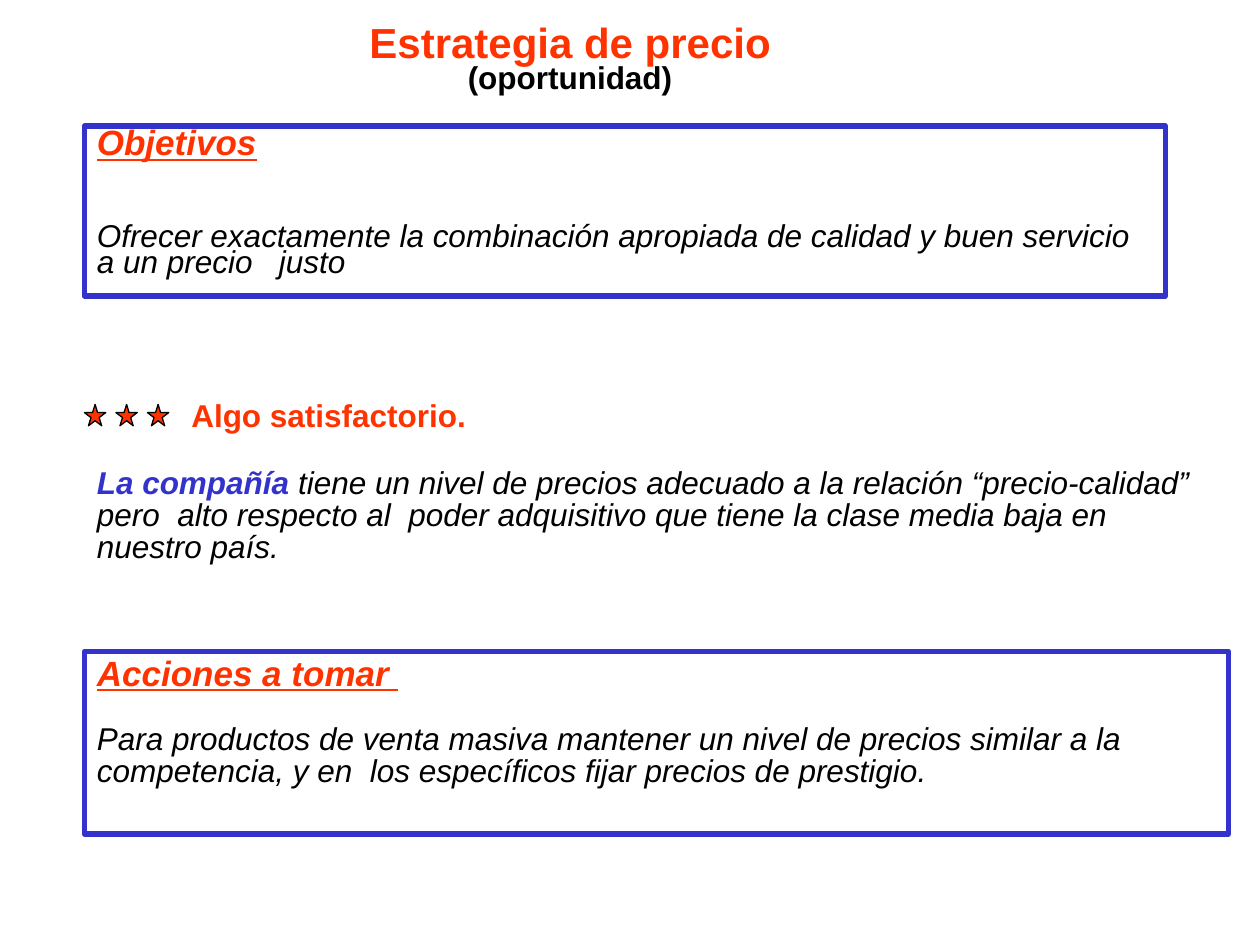
from pptx import Presentation
from pptx.dml.color import RGBColor
from pptx.enum.shapes import MSO_SHAPE
from pptx.enum.text import MSO_ANCHOR, MSO_AUTO_SIZE, PP_ALIGN
from pptx.util import Inches, Pt

RED = RGBColor(0xFF, 0x33, 0x00)
BLUE = RGBColor(0x33, 0x33, 0xCC)
BLACK = RGBColor(0, 0, 0)
FONT = "Arial"
RECTANGLE, STAR = MSO_SHAPE.RECTANGLE, MSO_SHAPE.STAR_5_POINT
TOP = MSO_ANCHOR.TOP
FIXED_SIZE = MSO_AUTO_SIZE.NONE
LEFT, CENTER = PP_ALIGN.LEFT, PP_ALIGN.CENTER

MARGIN = 0.67
STAR_SIZE, STAR_STEP = 0.17, 0.25


def add_run(paragraph, text, size=18, color=BLACK, bold=False, italic=False,
            underline=False):
    run = paragraph.add_run()
    run.text = text
    font = run.font
    font.name, font.size = FONT, Pt(size)
    font.bold, font.italic, font.underline = bold, italic, underline
    font.color.rgb = color


def format_paragraph(paragraph, spacing=1.0, before=0, align=LEFT):
    paragraph.line_spacing = spacing
    paragraph.space_before = Pt(before)
    paragraph.alignment = align


def prepare_frame(shape, wrap=True):
    frame = shape.text_frame
    frame.word_wrap = wrap
    frame.auto_size = FIXED_SIZE
    frame.vertical_anchor = TOP
    return frame


def add_outlined_shape(slide, kind, box, line_color, line_width, fill=None):
    shape = slide.shapes.add_shape(kind, *map(Inches, box))
    shape.shadow.inherit = False
    if fill is None:
        shape.fill.background()
    else:
        shape.fill.solid()
        shape.fill.fore_color.rgb = fill
    shape.line.color.rgb = line_color
    shape.line.width = Pt(line_width)
    return shape


def add_panel(slide, box, heading, body, spacing, gap, tail=""):
    """Blue frame with an underlined heading, then body text after a gap in points."""
    panel = add_outlined_shape(slide, RECTANGLE, box, BLUE, 3)
    frame = prepare_frame(panel)
    heading_line = frame.paragraphs[0]
    format_paragraph(heading_line, spacing)
    add_run(heading_line, heading, size=20, color=RED, bold=True, italic=True,
            underline=True)
    if tail:
        add_run(heading_line, tail, color=RED, italic=True, underline=True)
    body_line = frame.add_paragraph()
    format_paragraph(body_line, spacing, before=gap)
    add_run(body_line, body, italic=True)


def add_text(slide, box, runs, spacing, wrap=True):
    textbox = slide.shapes.add_textbox(*map(Inches, box))
    paragraph = prepare_frame(textbox, wrap).paragraphs[0]
    format_paragraph(paragraph, spacing)
    for text, style in runs:
        add_run(paragraph, text, **style)


def fill_title(slide):
    title = slide.shapes.title
    title.left, title.top = Inches(2.83), Inches(0.08)
    title.width, title.height = Inches(3.39), Inches(0.73)
    frame = prepare_frame(title, wrap=False)
    heading = frame.paragraphs[0]
    format_paragraph(heading, align=CENTER)
    add_run(heading, "Estrategia de precio", size=24, color=RED, bold=True)
    subtitle = frame.add_paragraph()
    format_paragraph(subtitle, 0.75, align=CENTER)
    add_run(subtitle, "(oportunidad)", bold=True)


def add_rating(slide, stars, label):
    for index in range(stars):
        box = (MARGIN + index * STAR_STEP, 3.21, STAR_SIZE, STAR_SIZE)
        add_outlined_shape(slide, STAR, box, BLACK, 0.75, fill=RED)
    label_left = MARGIN + stars * STAR_STEP
    add_text(slide, (label_left, 3.13, 2.38, 0.37),
             [(label, {"color": RED, "bold": True})], 0.9, wrap=False)


def main():
    presentation = Presentation()
    presentation.slide_width, presentation.slide_height = Inches(10), Inches(7.5)
    slide = presentation.slides.add_slide(presentation.slide_layouts[5])

    fill_title(slide)
    add_panel(slide, (MARGIN, 1, 8.58, 1.35), "Objetivos",
              "Ofrecer exactamente la combinación apropiada de calidad y buen "
              "servicio a un precio   justo", spacing=0.7, gap=37)
    add_rating(slide, 3, "Algo satisfactorio.")
    add_text(slide, (MARGIN, 3.67, 8.92, 0.87), [
        ("La compañía ", {"color": BLUE, "bold": True, "italic": True}),
        ("tiene un nivel de precios adecuado a la relación “precio-calidad” "
         "pero  alto respecto al  poder adquisitivo que tiene la clase media "
         "baja en nuestro país.", {"italic": True}),
    ], 0.85)
    add_panel(slide, (MARGIN, 5.17, 9.08, 1.45), "Acciones a tomar",
              "Para productos de venta masiva mantener un nivel de precios "
              "similar a la competencia, y en  los específicos fijar precios "
              "de prestigio.", spacing=0.85, gap=18, tail=" ")

    presentation.save("out.pptx")


if __name__ == "__main__":
    main()
